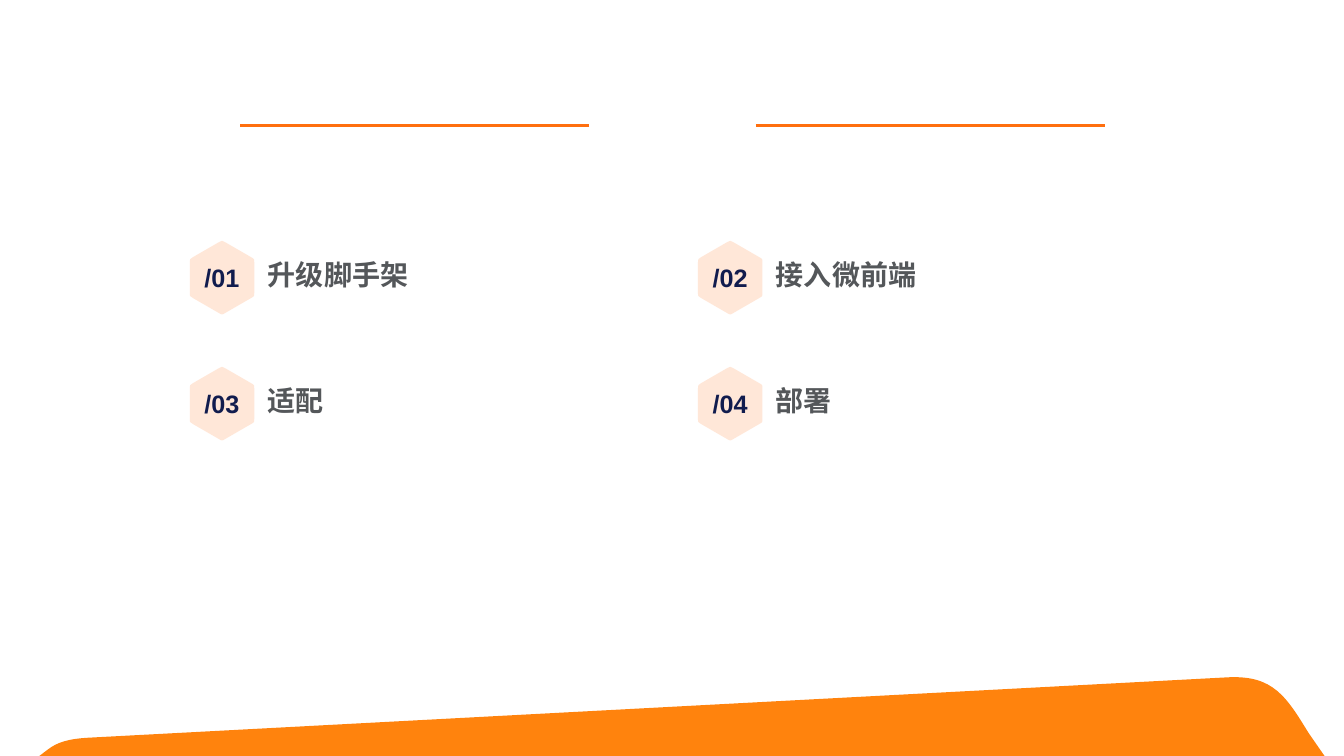
from dataclasses import dataclass
from math import cos, radians, sin

from lxml.etree import SubElement
from pptx import Presentation
from pptx.dml.color import RGBColor
from pptx.enum.shapes import MSO_CONNECTOR
from pptx.enum.text import MSO_ANCHOR, PP_ALIGN
from pptx.oxml.ns import qn
from pptx.util import Pt

AGENDA = [("/01", "升级脚手架"), ("/02", "接入微前端"), ("/03", "适配"), ("/04", "部署")]

SLIDE_WIDTH, SLIDE_HEIGHT = 960, 540
COLUMNS = 2
COLUMN_PITCH, ROW_PITCH = 363, 90
BADGE_X, BADGE_Y, BADGE_RADIUS, CORNER_TRIM = 158.6, 198.3, 26.6, 2.5
LABEL_X, LABEL_Y, LABEL_WIDTH, LABEL_HEIGHT = 184.2, 179.3, 283.7, 36.7
RULE_Y, RULES = 89.5, [(420.8, 171.4), (540, 789.4)]

# An outline is a start point, then steps: one point for a line,
# two controls and an end point for a curve.
BAND_START = (877.7, 483.8)
BAND_STEPS = [
    [(909.4, 482.4), (918.7, 497.5), (934.6, 523.4)],
    [(946.1, SLIDE_HEIGHT)],
    [(28.1, SLIDE_HEIGHT)],
    [(33.8, 535.7)],
    [(41, 529.9), (49.7, 527.8), (62.6, 527)],
]


@dataclass(frozen=True)
class Theme:
    background: RGBColor = RGBColor.from_string("FFFFFF")
    band: RGBColor = RGBColor.from_string("FF830D")
    rule: RGBColor = RGBColor.from_string("FF6F0F")
    badge: RGBColor = RGBColor.from_string("FFE2CF")
    number: RGBColor = RGBColor.from_string("111C4E")
    label: RGBColor = RGBColor.from_string("54575A")
    badge_opacity: int = 80
    number_font: str = "Arial"
    label_font: str = "Noto Sans CJK SC"
    number_size: int = 18
    label_size: int = 20
    rule_width: int = 2


THEME = Theme()


def toward(start, end, fraction):
    return tuple(a + (b - a) * fraction for a, b in zip(start, end))


def rounded_hexagon(center_x, center_y):
    """Return the start point and steps of a hexagon standing on a corner."""
    vertices = [(center_x + BADGE_RADIUS * sin(radians(60 * side)),
                 center_y - BADGE_RADIUS * cos(radians(60 * side))) for side in range(6)]
    fraction = CORNER_TRIM / BADGE_RADIUS
    steps = []
    for index, vertex in enumerate(vertices):
        before, after = vertices[index - 1], vertices[(index + 1) % 6]
        steps.append([toward(vertex, before, fraction)])
        steps.append([vertex, vertex, toward(vertex, after, fraction)])
    start = steps.pop(0)[0]
    return start, steps


def add_outline(slide, start, steps, color):
    builder = slide.shapes.build_freeform(Pt(start[0]), Pt(start[1]))
    builder.add_line_segments([(Pt(x), Pt(y)) for step in steps for x, y in step], close=True)
    shape = builder.convert_to_shape()
    bend_curves(shape, steps)
    shape.shadow.inherit = False
    shape.fill.solid()
    shape.fill.fore_color.rgb = color
    shape.line.fill.background()
    return shape


def bend_curves(shape, steps):
    """Merge the three segments of each curved step into one Bezier segment."""
    segments = iter(list(shape._element.iter(qn("a:lnTo"))))
    for step in steps:
        first, *others = [next(segments) for point in step]
        if others:
            first.tag = qn("a:cubicBezTo")
            for segment in others:
                first.append(segment[0])
                segment.getparent().remove(segment)


def write_text(shape, text, font_name, size, color, alignment):
    frame = shape.text_frame
    frame.text = text
    frame.word_wrap = True
    frame.vertical_anchor = MSO_ANCHOR.MIDDLE
    paragraph = frame.paragraphs[0]
    paragraph.alignment = alignment
    font = paragraph.font
    font.name, font.size, font.bold = font_name, Pt(size), True
    font.color.rgb = color
    properties = paragraph._p.pPr.find(qn("a:defRPr"))
    SubElement(properties, qn("a:ea")).set("typeface", font_name)
    return paragraph


def add_rule(slide, start_x, end_x):
    rule = slide.shapes.add_connector(MSO_CONNECTOR.STRAIGHT, Pt(start_x), Pt(RULE_Y),
                                      Pt(end_x), Pt(RULE_Y))
    rule.line.color.rgb = THEME.rule
    rule.line.width = Pt(THEME.rule_width)
    SubElement(rule._element.spPr, qn("a:effectLst"))


def add_badge(slide, number, offset_x, offset_y):
    start, steps = rounded_hexagon(BADGE_X + offset_x, BADGE_Y + offset_y)
    badge = add_outline(slide, start, steps, THEME.badge)
    color = badge._element.spPr.find(qn("a:solidFill"))[0]
    SubElement(color, qn("a:alpha")).set("val", str(THEME.badge_opacity * 1000))
    frame = badge.text_frame
    frame.margin_left = frame.margin_right = frame.margin_top = frame.margin_bottom = 0
    write_text(badge, number, THEME.number_font, THEME.number_size, THEME.number,
               PP_ALIGN.CENTER)


def add_label(slide, text, offset_x, offset_y, is_title):
    box = (Pt(LABEL_X + offset_x), Pt(LABEL_Y + offset_y), Pt(LABEL_WIDTH), Pt(LABEL_HEIGHT))
    if is_title:
        label = slide.shapes.title
        label.left, label.top, label.width, label.height = box
    else:
        label = slide.shapes.add_textbox(*box)
    paragraph = write_text(label, text, THEME.label_font, THEME.label_size, THEME.label,
                           PP_ALIGN.LEFT)
    paragraph.line_spacing = 0.9


def main():
    presentation = Presentation()
    presentation.slide_width, presentation.slide_height = Pt(SLIDE_WIDTH), Pt(SLIDE_HEIGHT)
    slide = presentation.slides.add_slide(presentation.slide_layouts[5])
    slide.background.fill.solid()
    slide.background.fill.fore_color.rgb = THEME.background

    add_outline(slide, BAND_START, BAND_STEPS, THEME.band)
    for start_x, end_x in RULES:
        add_rule(slide, start_x, end_x)
    for index, (number, text) in enumerate(AGENDA):
        row, column = divmod(index, COLUMNS)
        offset_x, offset_y = column * COLUMN_PITCH, row * ROW_PITCH
        add_label(slide, text, offset_x, offset_y, is_title=index == 0)
        add_badge(slide, number, offset_x, offset_y)

    presentation.save("out.pptx")


if __name__ == "__main__":
    main()
